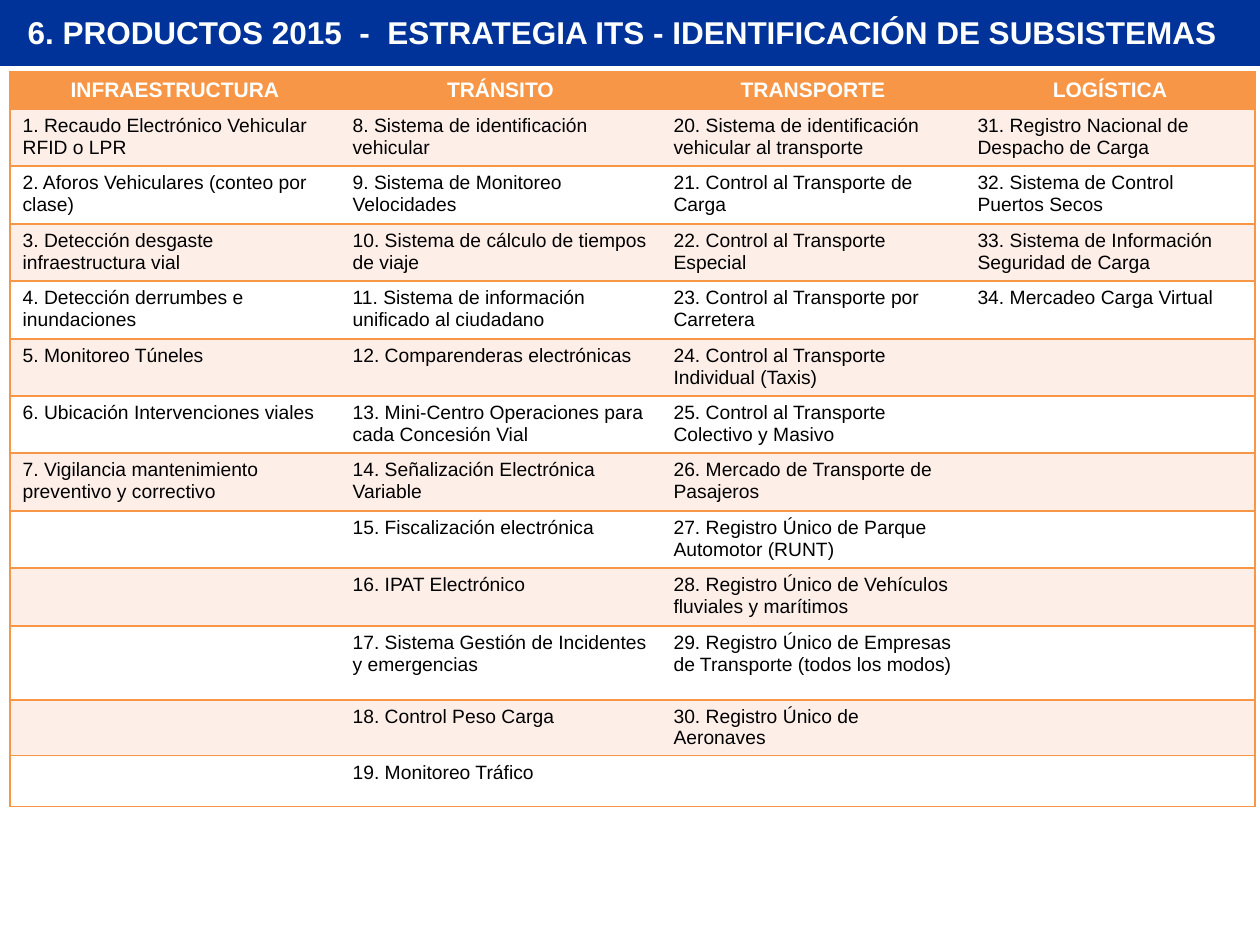
from itertools import zip_longest

from lxml.etree import SubElement
from pptx import Presentation
from pptx.dml.color import RGBColor
from pptx.enum.shapes import MSO_SHAPE
from pptx.enum.text import MSO_ANCHOR, PP_ALIGN
from pptx.oxml import parse_xml
from pptx.oxml.ns import nsdecls, qn
from pptx.util import Emu, Pt

TITLE = "6. PRODUCTOS 2015  -  ESTRATEGIA ITS - IDENTIFICACIÓN DE SUBSISTEMAS"
# heading, column width, subsystems in numbered order
COLUMNS = [
    ("INFRAESTRUCTURA", 330, [
        "Recaudo Electrónico Vehicular RFID o LPR",
        "Aforos Vehiculares (conteo por clase)",
        "Detección desgaste infraestructura vial",
        "Detección derrumbes e inundaciones",
        "Monitoreo Túneles",
        "Ubicación Intervenciones viales",
        "Vigilancia mantenimiento preventivo y correctivo",
    ]),
    ("TRÁNSITO", 321, [
        "Sistema de identificación vehicular",
        "Sistema de Monitoreo Velocidades",
        "Sistema de cálculo de tiempos de viaje",
        "Sistema de información unificado al ciudadano",
        "Comparenderas electrónicas",
        "Mini-Centro Operaciones para cada Concesión Vial",
        "Señalización Electrónica Variable",
        "Fiscalización electrónica",
        "IPAT Electrónico",
        "Sistema Gestión de Incidentes y emergencias",
        "Control Peso Carga",
        "Monitoreo Tráfico",
    ]),
    ("TRANSPORTE", 304, [
        "Sistema de identificación vehicular al transporte",
        "Control al Transporte de Carga",
        "Control al Transporte Especial",
        "Control al Transporte por Carretera",
        "Control al Transporte Individual (Taxis)",
        "Control al Transporte Colectivo y Masivo",
        "Mercado de Transporte de Pasajeros",
        "Registro Único de Parque Automotor (RUNT)",
        "Registro Único de Vehículos fluviales y marítimos",
        "Registro Único de Empresas de Transporte (todos los modos)",
        "Registro Único de Aeronaves",
    ]),
    ("LOGÍSTICA", 290, [
        "Registro Nacional de Despacho de Carga",
        "Sistema de Control Puertos Secos",
        "Sistema de Información Seguridad de Carga",
        "Mercadeo Carga Virtual",
    ]),
]
LEFT, TOP = 10, 72
ROW_EDGES = [TOP] + [round(109 + 57.4 * i) for i in range(10)] + [700, 755, 803]
BLUE, ORANGE, PEACH, WHITE, BLACK = "003399", "F79646", "FDEEE8", "FFFFFF", "000000"
NO_STYLE = "{2D5ABB26-0587-4C30-8999-92F81FD0307C}"


def px(n):
    return Emu(n * 914400 // 126)


def rgb(color):
    return RGBColor.from_string(color)


def set_text(tf, text, size=11, color=BLACK, bold=False, align=PP_ALIGN.LEFT):
    p = tf.paragraphs[0]
    p.alignment = align
    r = p.add_run()
    r.text = text
    r.font.name, r.font.size, r.font.bold = "Arial", Pt(size), bold
    r.font.color.rgb = rgb(color)


def set_borders(cell, sides):
    """Draw 1 pt lines on the sides given, in the order L, R, T, B."""
    tc_pr = cell._tc.get_or_add_tcPr()
    for i, side in enumerate(sides):
        tc_pr.insert(i, parse_xml(
            f'<a:ln{side} {nsdecls("a")} w="12700"><a:solidFill>'
            f'<a:srgbClr val="{ORANGE}"/></a:solidFill></a:ln{side}>'))


def add_header(s):
    band = s.shapes.add_shape(MSO_SHAPE.RECTANGLE, 0, 0, px(1260), px(66))
    band.shadow.inherit = False
    band.fill.solid()
    band.fill.fore_color.rgb = rgb(BLUE)
    band.line.fill.background()
    s.shapes._spTree.insert(2, band._element)

    title = s.shapes.title
    title.left, title.top, title.width, title.height = px(15), px(6), px(1245), px(51)
    tf = title.text_frame
    tf.word_wrap = True
    tf.vertical_anchor = MSO_ANCHOR.MIDDLE
    set_text(tf, TITLE, size=18, color=WHITE, bold=True)


def add_subsystems(s):
    headings, widths, groups = zip(*COLUMNS)
    numbers = iter(range(1, 100))
    numbered = [[f"{next(numbers)}. {name}" for name in group] for group in groups]
    rows = [headings, *zip_longest(*numbered, fillvalue="")]

    table = s.shapes.add_table(len(rows), len(widths), px(LEFT), px(TOP),
                               px(sum(widths)), px(ROW_EDGES[-1] - TOP)).table
    tbl_pr = table._tbl.tblPr
    style = tbl_pr.find(qn("a:tableStyleId"))
    if style is None:
        style = SubElement(tbl_pr, qn("a:tableStyleId"))
    style.text = NO_STYLE
    for col, width in zip(table.columns, widths):
        col.width = px(width)
    for i, texts in enumerate(rows):
        table.rows[i].height = px(ROW_EDGES[i + 1] - ROW_EDGES[i])
        fill = ORANGE if i == 0 else PEACH if i % 2 else WHITE
        for j, text in enumerate(texts):
            cell = table.cell(i, j)
            cell.fill.solid()
            cell.fill.fore_color.rgb = rgb(fill)
            set_borders(cell, {0: "LTB", len(texts) - 1: "RTB"}.get(j, "TB"))
            if i == 0:
                set_text(cell.text_frame, text, size=12, color=WHITE, bold=True,
                         align=PP_ALIGN.CENTER)
            elif text:
                set_text(cell.text_frame, text)


def main():
    prs = Presentation()
    prs.slide_width, prs.slide_height = px(1260), px(945)
    s = prs.slides.add_slide(prs.slide_layouts[5])
    add_header(s)
    add_subsystems(s)
    prs.save("out.pptx")


if __name__ == "__main__":
    main()
